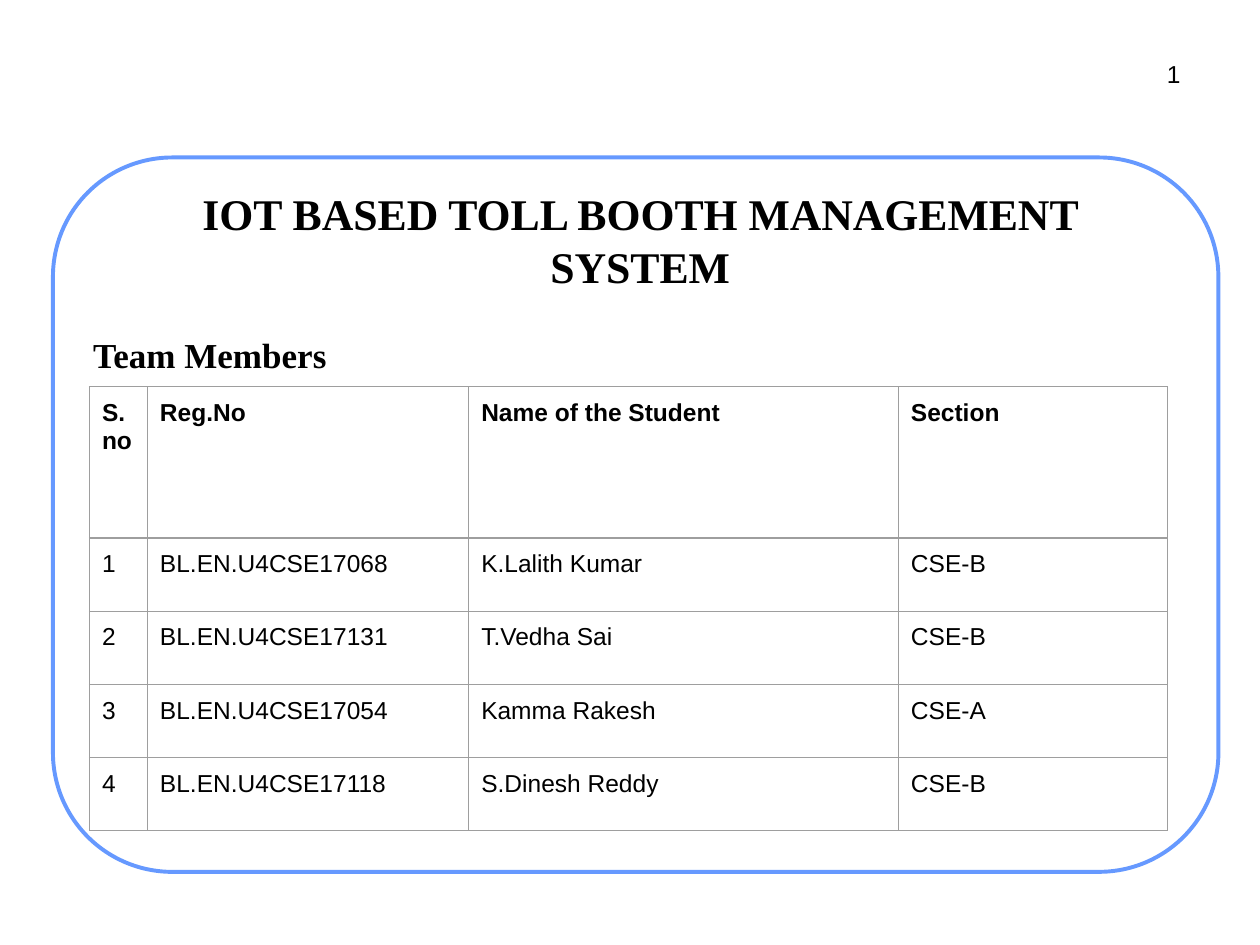
from dataclasses import dataclass

from lxml import etree
from pptx import Presentation
from pptx import util as u
from pptx.dml.color import RGBColor
from pptx.enum import shapes, text
from pptx.oxml.ns import qn

COLORS = {"page": "FFFFFF", "ink": "000000", "frame": "6699FF", "grid": "9E9E9E"}
SERIF, SANS = "Times New Roman", "Arial"


@dataclass
class Box:
    left: float
    top: float
    width: float
    height: float

    def inches(self) -> tuple:
        return tuple(map(u.Inches, (self.left, self.top, self.width, self.height)))


@dataclass
class Member:
    number: str
    reg_no: str
    name: str
    section: str

    def values(self) -> tuple:
        return self.number, self.reg_no, self.name, self.section


HEADER = Member("S.no", "Reg.No", "Name of the Student", "Section")
MEMBERS = [
    Member("1", "BL.EN.U4CSE17068", "K.Lalith Kumar", "CSE-B"),
    Member("2", "BL.EN.U4CSE17131", "T.Vedha Sai", "CSE-B"),
    Member("3", "BL.EN.U4CSE17054", "Kamma Rakesh", "CSE-A"),
    Member("4", "BL.EN.U4CSE17118", "S.Dinesh Reddy", "CSE-B"),
]
COL_WIDTHS = [0.46, 2.55, 3.41, 2.14]
HEADER_HEIGHT, ROW_HEIGHT = 1.2, 0.58


def rgb(name: str) -> RGBColor:
    return RGBColor.from_string(COLORS[name])


def write(tf, words: str, *, size: float, font: str = SANS, bold: bool = False,
          align=text.PP_ALIGN.LEFT, spacing: float = 1.0) -> None:
    p = tf.paragraphs[0]
    p.alignment, p.line_spacing = align, spacing
    r = p.add_run()
    r.text = words
    r.font.size, r.font.name, r.font.bold = u.Pt(size), font, bold
    r.font.color.rgb = rgb("ink")


def add_text(s, box: Box, words: str, *, anchor=text.MSO_ANCHOR.TOP, **fmt) -> None:
    tf = s.shapes.add_textbox(*box.inches()).text_frame
    tf.word_wrap = True
    tf.vertical_anchor = anchor
    tf.margin_left = tf.margin_right = tf.margin_top = tf.margin_bottom = u.Inches(0.05)
    write(tf, words, **fmt)


def add_frame(s, box: Box) -> None:
    sp = s.shapes.add_shape(shapes.MSO_SHAPE.ROUNDED_RECTANGLE, *box.inches())
    sp.adjustments[0] = 0.167
    sp.shadow.inherit = False
    sp.fill.solid()
    sp.fill.fore_color.rgb = rgb("page")
    sp.line.color.rgb = rgb("frame")
    sp.line.width = u.Pt(2.25)


def add_borders(cell) -> None:
    tc_pr = cell._tc.get_or_add_tcPr()
    for side in ("a:lnL", "a:lnR", "a:lnT", "a:lnB"):
        ln = etree.SubElement(tc_pr, qn(side), w=str(u.Pt(0.75)))
        fill = etree.SubElement(ln, qn("a:solidFill"))
        etree.SubElement(fill, qn("a:srgbClr"), val=COLORS["grid"])


def add_members(s, left: float, top: float) -> None:
    rows = [HEADER, *MEMBERS]
    heights = [HEADER_HEIGHT] + [ROW_HEIGHT] * len(MEMBERS)
    box = Box(left, top, sum(COL_WIDTHS), sum(heights))
    table = s.shapes.add_table(len(rows), len(COL_WIDTHS), *box.inches()).table
    table.horz_banding = False
    for col, width in zip(table.columns, COL_WIDTHS):
        col.width = u.Inches(width)
    for i, (row, member, height) in enumerate(zip(table.rows, rows, heights)):
        row.height = u.Inches(height)
        for cell, value in zip(row.cells, member.values()):
            cell.margin_left = cell.margin_right = u.Inches(0.1)
            cell.margin_top = cell.margin_bottom = u.Inches(0.1)
            add_borders(cell)
            cell.fill.solid()
            cell.fill.fore_color.rgb = rgb("page")
            write(cell.text_frame, value, size=14, bold=i == 0)


def main() -> None:
    prs = Presentation()
    prs.slide_width, prs.slide_height = u.Inches(10), u.Inches(7.5)
    s = prs.slides.add_slide(prs.slide_layouts[6])

    # Frame and title
    add_frame(s, Box(0.42, 1.25, 9.25, 5.67))
    add_text(s, Box(0.87, 1.4, 8.42, 1), "IOT BASED TOLL BOOTH MANAGEMENT SYSTEM",
             size=25, font=SERIF, bold=True, align=text.PP_ALIGN.CENTER,
             anchor=text.MSO_ANCHOR.MIDDLE)

    # Team list
    add_text(s, Box(0.69, 2.66, 8.57, 0.4), "Team Members",
             size=20, font=SERIF, bold=True, spacing=0.8)
    add_members(s, 0.71, 3.07)

    # Page number
    add_text(s, Box(9.09, 0.42, 0.33, 0.32), "1", size=14, align=text.PP_ALIGN.RIGHT)

    prs.save("out.pptx")


if __name__ == "__main__":
    main()
